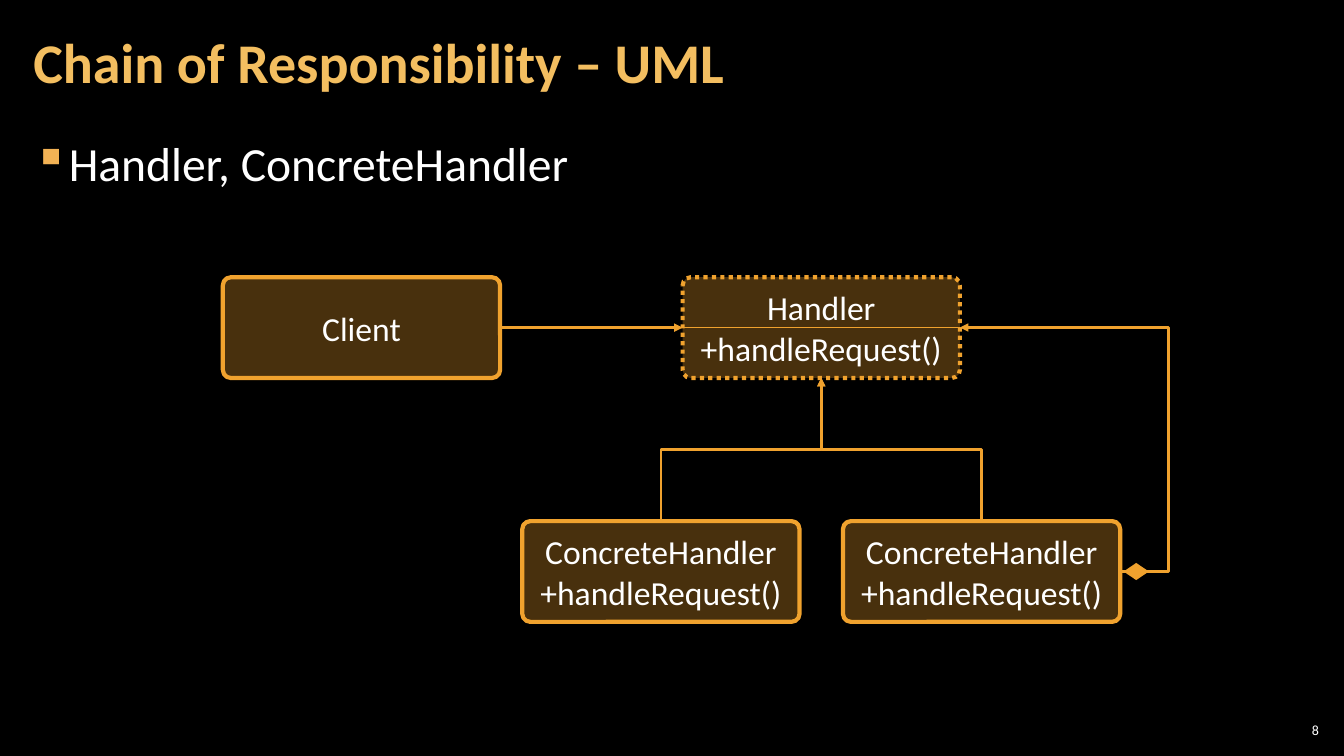
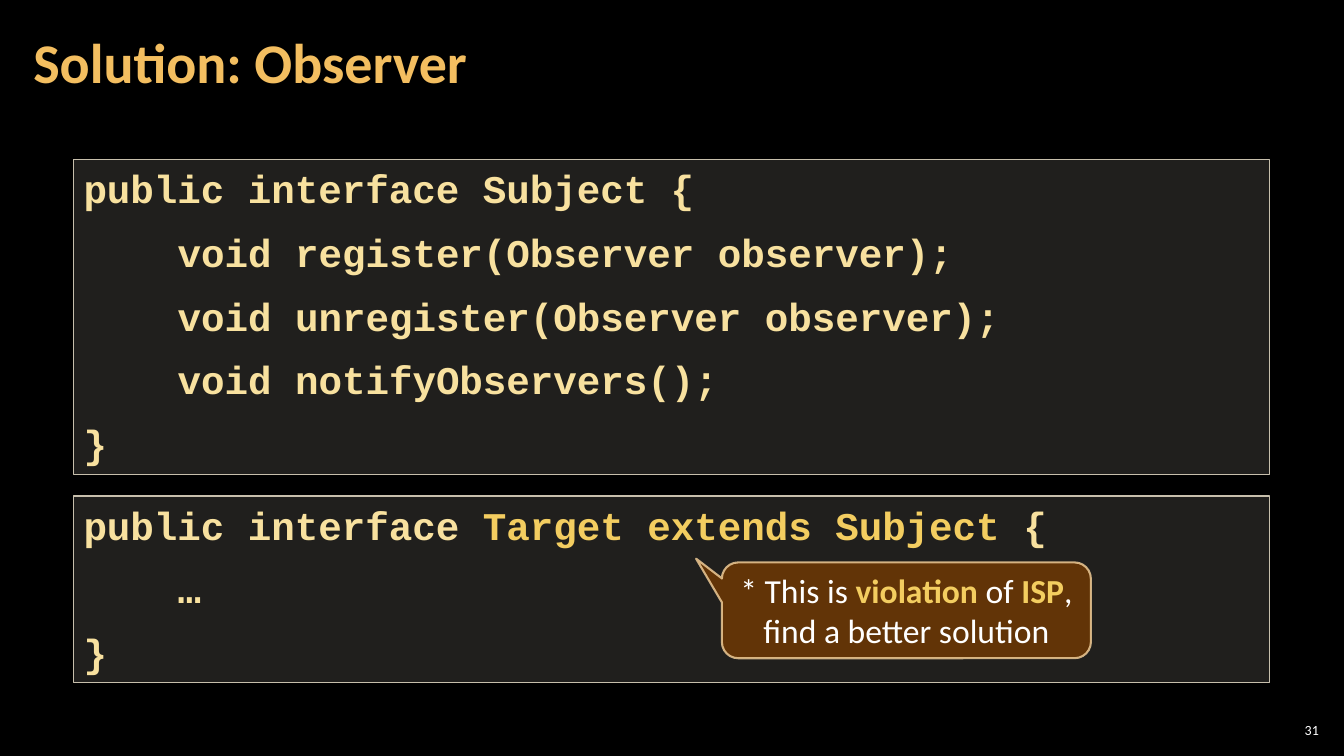
from lxml import etree
from pptx import Presentation
from pptx import util as u
from pptx.dml.color import RGBColor
from pptx.enum import dml, shapes, text
from pptx.oxml.ns import qn

WIDTH, HEIGHT = u.Inches(13.33), u.Inches(7.5)
BLACK, WHITE = "000000", "FFFFFF"
TITLE, BULLET, AMBER = "F3BE60", "F2B254", "F0A22E"
CODE, HIGHLIGHT, CODE_FILL, CODE_EDGE = "F8E19F", "F3CD60", "D9D5C7", "C7BFAC"
NOTE_FILL, NOTE_EDGE = "663606", "F8D49E"
SANS, MONO = "Calibri", "Courier New"
CLASS_W, CLASS_H = 20.63, 13.33
CODE_INDENT = 0.6 * 28 * 4


def rgb(value):
    """Turn a hex string into a colour."""
    return RGBColor.from_string(value)


def place(x, y):
    """Turn percentages of the slide into lengths."""
    return round(WIDTH * x / 100), round(HEIGHT * y / 100)


def add_xml(parent, tag, **attributes):
    """Append a drawing element and return it."""
    return etree.SubElement(parent, qn("a:" + tag), attributes)


def fade(parent, opacity):
    """Set the opacity, in percent, of the solid fill inside parent."""
    if opacity < 100:
        add_xml(parent.find(qn("a:solidFill"))[0], "alpha", val=str(opacity * 1000))


def write(shape, paragraphs, size=24, font=SANS, color=WHITE, bold=False,
          align="LEFT", anchor="TOP", insets=(0.1, 0.05), **spacing):
    """Fill a shape with paragraphs, each a string or a list of (text, format) runs."""
    frame = shape.text_frame
    frame.word_wrap = True
    frame.vertical_anchor = getattr(text.MSO_ANCHOR, anchor)
    frame.margin_left = frame.margin_right = u.Inches(insets[0])
    frame.margin_top = frame.margin_bottom = u.Inches(insets[1])
    for number, runs in enumerate(paragraphs):
        paragraph = frame.paragraphs[0] if number == 0 else frame.add_paragraph()
        paragraph.alignment = getattr(text.PP_ALIGN, align)
        for name, value in spacing.items():
            setattr(paragraph, name, value)
        for words, changes in [(runs, {})] if isinstance(runs, str) else runs:
            run = paragraph.add_run()
            run.text = words
            run.font.name, run.font.size = font, u.Pt(size)
            run.font.bold = changes.get("bold", bold)
            run.font.color.rgb = rgb(changes.get("color", color))
    return frame.paragraphs


def indent(paragraph, left, first=0):
    """Set the left margin and first-line indent in points."""
    properties = paragraph._p.get_or_add_pPr()
    properties.set("marL", str(u.Pt(left)))
    properties.set("indent", str(u.Pt(first)))
    return properties


def add_label(slide, x, y, w, h, words, **style):
    """Add a text box holding one paragraph."""
    box = slide.shapes.add_textbox(*place(x, y), *place(w, h))
    return write(box, [words], **style)[0]


def add_panel(slide, kind, x, y, w, h, fill, opacity=100, edge=None,
              edge_width=1, edge_opacity=100, adjustments=()):
    """Add a flat shape with its fill and outline."""
    panel = slide.shapes.add_shape(kind, *place(x, y), *place(w, h))
    panel.shadow.inherit = False
    for number, value in enumerate(adjustments):
        panel.adjustments[number] = value
    panel.fill.solid()
    panel.fill.fore_color.rgb = rgb(fill)
    fade(panel._element.spPr, opacity)
    if edge:
        panel.line.color.rgb = rgb(edge)
        panel.line.width = u.Pt(edge_width)
        fade(panel._element.spPr.find(qn("a:ln")), edge_opacity)
    else:
        panel.line.fill.background()
    return panel


def add_class(slide, x, y, *lines, dotted=False):
    """Add a class box with centred lines."""
    box = add_panel(slide, shapes.MSO_SHAPE.ROUNDED_RECTANGLE, x, y, CLASS_W, CLASS_H,
                    AMBER, 30, AMBER, 3, adjustments=[0.08])
    if dotted:
        box.line.dash_style = dml.MSO_LINE.ROUND_DOT
    write(box, lines, align="CENTER", anchor="MIDDLE")


def add_line(slide, start, end, width=2, arrow=True, kind="STRAIGHT"):
    """Add a connector between two points given in lengths."""
    line = slide.shapes.add_connector(getattr(shapes.MSO_CONNECTOR, kind), *start, *end)
    line.line.color.rgb = rgb(AMBER)
    line.line.width = u.Pt(width)
    if arrow:
        add_xml(line.line._get_or_add_ln(), "tailEnd", type="triangle")
    add_xml(line._element.spPr, "effectLst")
    return line


def add_riser(slide, start, end):
    """Add an elbow that leaves and arrives vertically."""
    (x1, y1), (x2, y2) = start, end
    turn = 1 if x2 > x1 else -1
    middle_x, middle_y = (x1 + x2) // 2, (y1 + y2) // 2
    dx, dy = turn * (y1 - y2) // 2, turn * (x2 - x1) // 2
    riser = add_line(slide, (middle_x + dx, middle_y + dy),
                     (middle_x - dx, middle_y - dy), kind="ELBOW")
    riser._element.spPr.xfrm.set("rot", str((90 if turn > 0 else 270) * 60000))


def add_loop(slide, start, end, bend):
    """Add an elbow whose bend lies outside its two ends."""
    loop = add_line(slide, start, end, kind="ELBOW")
    geometry = loop._element.spPr.find(qn("a:prstGeom"))
    for old in geometry.findall(qn("a:avLst")):
        geometry.remove(old)
    add_xml(add_xml(geometry, "avLst"), "gd", name="adj1", fmla=f"val {round(bend * 100000)}")


def add_code(slide, y, h, lines):
    """Add a code panel whose inner lines are indented."""
    panel = add_panel(slide, shapes.MSO_SHAPE.RECTANGLE, 5.48, y, 88.97, h,
                      CODE_FILL, 15, CODE_EDGE)
    paragraphs = write(panel, lines, size=28, font=MONO, color=CODE, bold=True,
                       space_before=u.Pt(12))
    for paragraph in paragraphs[1:-1]:
        indent(paragraph, CODE_INDENT)


def add_slide(deck, title, number):
    """Add a blank slide with its title and number."""
    slide = deck.slides.add_slide(deck.slide_layouts[6])
    add_label(slide, 1.58, 0.53, 78.54, 16.13, title, size=40, color=TITLE, bold=True,
              anchor="MIDDLE", insets=(0.12, 0.04), line_spacing=0.9)
    add_label(slide, 94.9, 95.2, 3.53, 2.8, number, size=10, align="RIGHT",
              anchor="MIDDLE", insets=(0.04, 0.04))
    return slide


def build_chain(deck):
    """Build the class diagram of the chain."""
    slide = add_slide(deck, "Chain of Responsibility – UML", "8")
    topic = add_label(slide, 1.58, 16.8, 96.85, 81.2, "Handler, ConcreteHandler", size=34,
                      insets=(0.12, 0.04), line_spacing=1.05,
                      space_before=u.Pt(6), space_after=u.Pt(6))
    bullet = indent(topic, 24, -24)
    add_xml(add_xml(bullet, "buClr"), "srgbClr", val=BULLET)
    add_xml(bullet, "buChar", char="▪")

    client_x, handler_x, top, bottom = 16.58, 50.79, 36.67, 68.93
    concrete_xs = [handler_x + side * 11.93 for side in (-1, 1)]
    top_middle, bottom_middle = top + CLASS_H / 2, bottom + CLASS_H / 2
    handler_right = handler_x + CLASS_W
    last_right = concrete_xs[-1] + CLASS_W
    handler_left_point = place(handler_x, top_middle)
    handler_right_point = place(handler_right, top_middle)

    add_class(slide, handler_x, top, "Handler", "+handleRequest()", dotted=True)
    add_line(slide, handler_left_point, handler_right_point, width=1, arrow=False)
    for x in concrete_xs:
        add_class(slide, x, bottom, "ConcreteHandler", "+handleRequest()")
        add_riser(slide, place(x + CLASS_W / 2, bottom),
                  place(handler_x + CLASS_W / 2, top + CLASS_H))
    add_loop(slide, place(last_right, bottom_middle), handler_right_point, -0.3)
    add_class(slide, client_x, top, "Client")
    add_line(slide, place(client_x + CLASS_W, top_middle), handler_left_point)
    add_panel(slide, shapes.MSO_SHAPE.FLOWCHART_DECISION, last_right + 0.25,
              bottom_middle - 1.13, 1.88, 2.27, AMBER)


def build_observer(deck):
    """Build the interface listings with their note."""
    slide = add_slide(deck, "Solution: Observer", "31")
    add_code(slide, 21.07, 41.73, [
        "public interface Subject {",
        "void register(Observer observer);",
        "void unregister(Observer observer);",
        "void notifyObservers();",
        "}"])
    add_code(slide, 65.6, 24.67, [
        [("public interface ", {}), ("Target extends Subject", {"color": HIGHLIGHT}), (" {", {})],
        "…",
        "}"])
    note = add_panel(slide, shapes.MSO_SHAPE.ROUNDED_RECTANGULAR_CALLOUT, 53.71, 74.4,
                     27.46, 12.67, NOTE_FILL, 95, NOTE_EDGE, 1.5, 80, [-0.57, -0.54, 0.17])
    strong = {"color": HIGHLIGHT, "bold": True}
    write(note, [[("* This is ", {}), ("violation", strong), (" of ", {}), ("ISP", strong),
                  (", find a better solution", {})]], align="CENTER", anchor="MIDDLE")


def main():
    """Build and save the deck."""
    deck = Presentation()
    deck.slide_width, deck.slide_height = WIDTH, HEIGHT
    backdrop = deck.slide_master.background.fill
    backdrop.solid()
    backdrop.fore_color.rgb = rgb(BLACK)
    build_chain(deck)
    build_observer(deck)
    deck.save("out.pptx")


if __name__ == "__main__":
    main()
